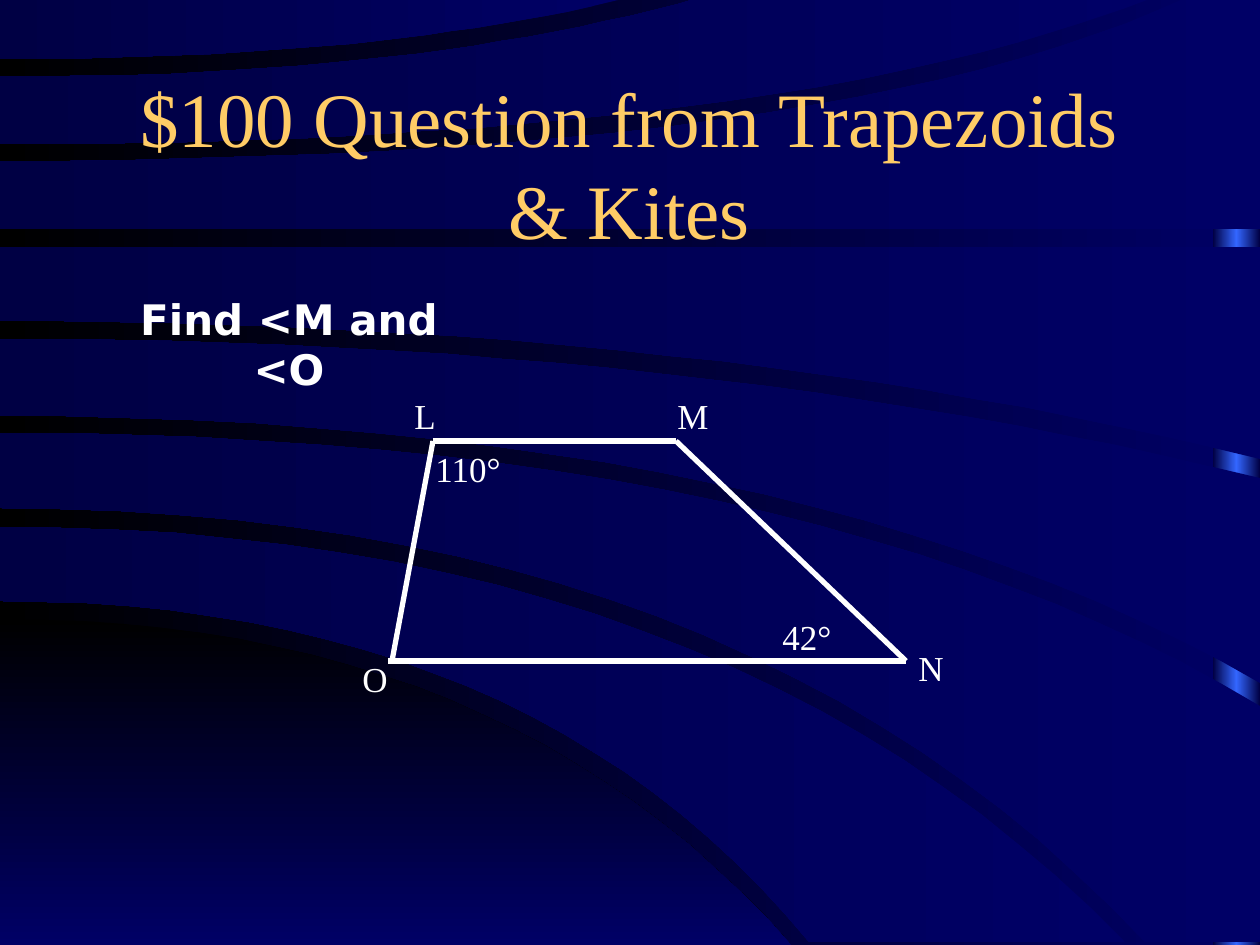
from copy import deepcopy

from lxml import etree
from pptx import Presentation
from pptx.dml.color import RGBColor
from pptx.enum.shapes import MSO_CONNECTOR as Connector, MSO_SHAPE as Shape
from pptx.enum.text import MSO_ANCHOR as Anchor, PP_ALIGN as Align
from pptx.oxml.ns import qn
from pptx.util import Emu, Pt

PX = 914400 / 126
WIDTH, HEIGHT = 1260, 945
TOP, BOTTOM = -3, 942  # where the curved bands are cut off
STEPS = 24

BLACK = RGBColor(0x00, 0x00, 0x00)
NAVY = RGBColor(0x00, 0x00, 0x66)
DARK_NAVY = RGBColor(0x00, 0x00, 0x44)
BLUE = RGBColor(0x33, 0x66, 0xFF)
GOLD = RGBColor(0xFF, 0xCC, 0x66)
WHITE = RGBColor(0xFF, 0xFF, 0xFF)


def px(length):
    return Emu(round(length * PX))


def curve(start_y, bend_x, end_x, end_y):
    """Arc that leaves the left side level and bends towards its end."""
    points = []
    for step in range(STEPS + 1):
        t = step / STEPS
        points.append((round(2 * t * (1 - t) * bend_x + t * t * end_x),
                       round(start_y + t * t * (end_y - start_y))))
    return points


def level(y, end_x=WIDTH):
    return [(0, y), (end_x, y)]


# Curved bands as (upper edge, lower edge), both from left to right
BANDS = [
    (curve(527, 722, 1125, BOTTOM), curve(601, 530, 809, BOTTOM)),
    (curve(433, 806, WIDTH, 706), curve(508, 742, 1145, BOTTOM) + [(WIDTH, BOTTOM)]),
    (curve(339, 694, WIDTH, 478), curve(416, 794, WIDTH, 683)),
    (level(247), curve(321, 710, WIDTH, 459)),
    (curve(161, 840, 1188, TOP) + [(WIDTH, TOP)], level(229)),
    (curve(77, 426, 701, TOP), curve(144, 782, 1155, TOP)),
    (level(TOP, 631), curve(59, 384, 631, TOP)),
]


class SlideBuilder:
    font = "Times New Roman"
    label_size = 20
    line_width = 3

    def __init__(self, slide):
        self.slide = slide
        self.shapes = slide.shapes

    def gradient(self, fill, start, end, angle=180):
        fill.gradient()
        fill.gradient_angle = angle
        for stop, color in zip(fill.gradient_stops, (start, end)):
            stop.color.rgb = color

    def finish(self, shape, start, end, angle=180):
        shape.shadow.inherit = False
        shape.line.fill.background()
        self.gradient(shape.fill, start, end, angle)

    def glow_strip(self, left, top, width, height, edge, middle):
        strip = self.shapes.add_shape(Shape.RECTANGLE, px(left), px(top), px(width), px(height))
        self.finish(strip, edge, middle)
        # A third stop returns to the edge colour
        strip.fill.gradient_stops[1].position = 0.5
        stop_list = next(strip.element.iter(qn("a:gsLst")))
        last = deepcopy(stop_list[0])
        last.set("pos", "100000")
        stop_list.append(last)

    def outline(self, points, start, end, angle=180):
        builder = self.shapes.build_freeform(*points[0], scale=PX)
        builder.add_line_segments(points[1:], close=True)
        self.finish(builder.convert_to_shape(), start, end, angle)

    def line(self, start, end):
        side = self.shapes.add_connector(Connector.STRAIGHT, *map(px, start + end))
        side.line.color.rgb = WHITE
        side.line.width = Pt(self.line_width)
        etree.SubElement(side.element.spPr, qn("a:effectLst"))

    def text(self, words, left, top, width, height, size=label_size, color=WHITE,
             font=font, bold=False, align=Align.LEFT, anchor=Anchor.TOP):
        frame = self.shapes.add_textbox(px(left), px(top), px(width), px(height)).text_frame
        frame.word_wrap = True
        frame.vertical_anchor = anchor
        paragraph = frame.paragraphs[0]
        paragraph.text = words
        paragraph.alignment = align
        paragraph.font.size = Pt(size)
        paragraph.font.name = font
        paragraph.font.bold = bold
        paragraph.font.color.rgb = color


def main():
    deck = Presentation()
    deck.slide_width, deck.slide_height = px(WIDTH), px(HEIGHT)
    page = SlideBuilder(deck.slides.add_slide(deck.slide_layouts[6]))

    # Backdrop: glowing strip, black hill and curved bands
    page.gradient(page.slide.background.fill, NAVY, BLACK)
    page.glow_strip(1213, 0, 47, HEIGHT, DARK_NAVY, BLUE)
    page.outline(curve(619, 505, 791, HEIGHT) + [(0, HEIGHT)], BLACK, NAVY, angle=270)
    for upper, lower in BANDS:
        page.outline(upper + lower[::-1], NAVY, DARK_NAVY)

    # Title
    page.text("$100 Question from Trapezoids & Kites", 94, 84, 1071, 158, size=44,
              color=GOLD, align=Align.CENTER, anchor=Anchor.MIDDLE)

    # Trapezoid LMNO, its base reaching a little past corner O
    corner_l, corner_m, corner_n, corner_o = (433, 441), (676, 441), (906, 661), (392, 661)
    page.line(corner_l, corner_m)
    page.line((388, 661), corner_n)
    page.line(corner_l, corner_o)
    page.line(corner_m, corner_n)

    # Corner letters and given angles
    for label, left, top, width in [("L", 402, 388, 42), ("O", 350, 651, 42),
                                    ("N", 906, 640, 42), ("M", 665, 388, 42),
                                    ("110°", 423, 441, 105), ("42°", 770, 609, 105)]:
        page.text(label, left, top, width, 55)

    # Question
    page.text("Find <M and <O", 115, 287, 348, 63, size=24, font="DejaVu Sans",
              bold=True, align=Align.CENTER)

    deck.save("out.pptx")


if __name__ == "__main__":
    main()
